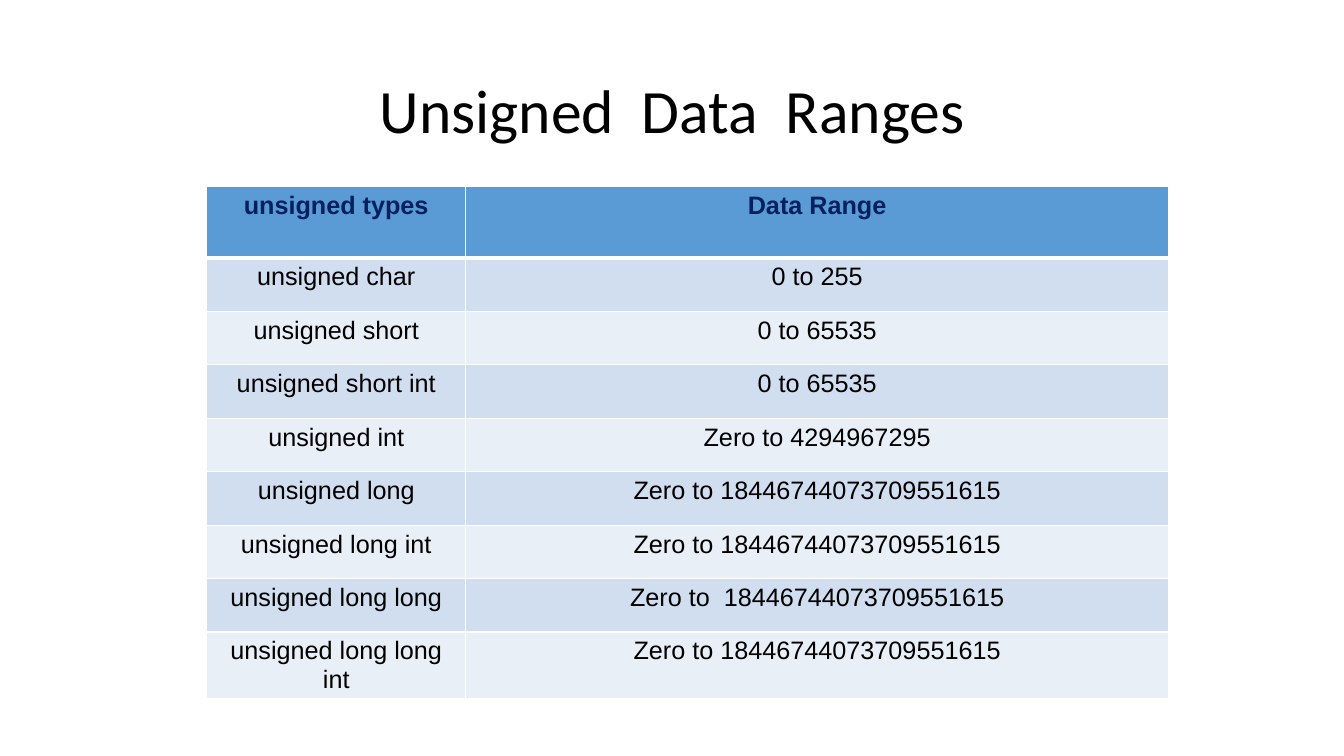
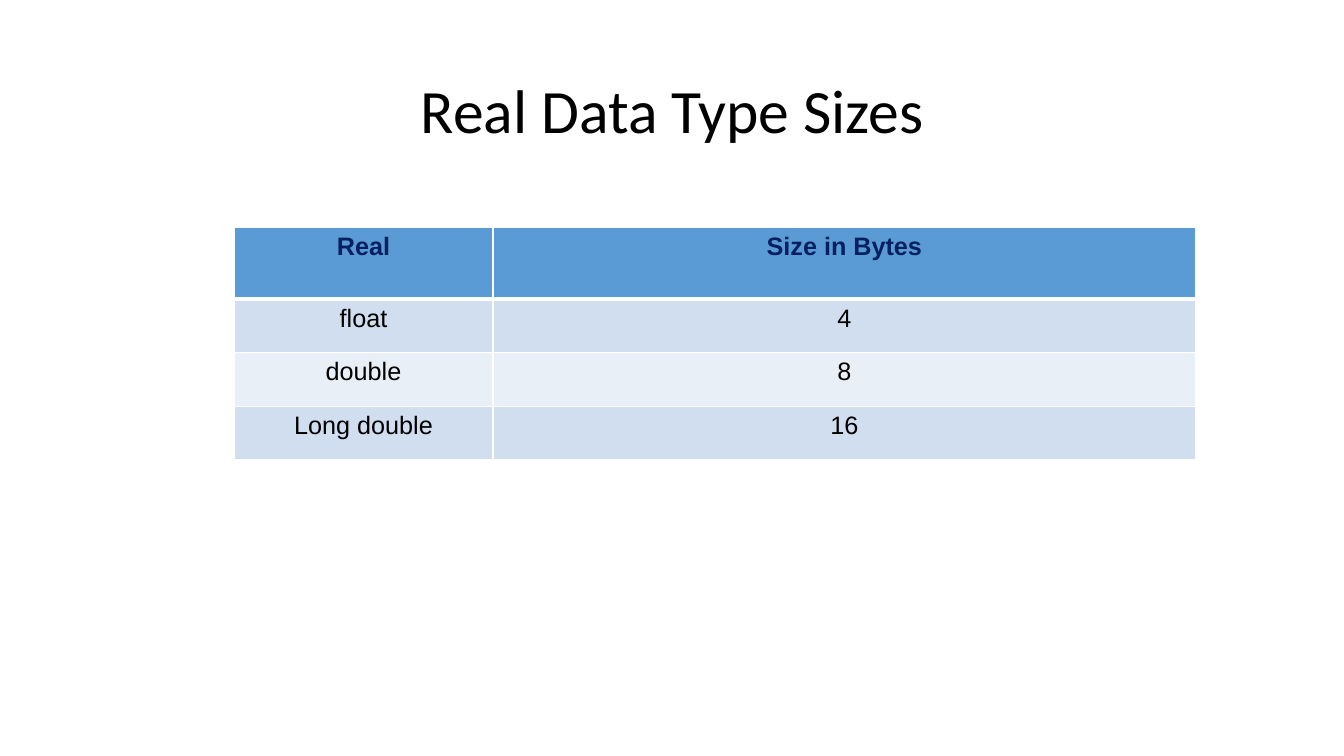
from lxml import etree
from pptx import Presentation
from pptx import util as u
from pptx.dml import color
from pptx.enum import text
from pptx.oxml import ns

# Shared look
BLACK, NAVY, WHITE = "000000", "002060", "FFFFFF"
HEADER_FILL = "5B9BD5"
BAND_FILLS = ["D0DEEF", "E9EFF7"]
COLUMN_WIDTHS = [2.57, 6.97]
HEADER_HEIGHT, ROW_HEIGHT = 0.71, 0.53

# Slide contents: title, table position, rows with the header first
BIG_RANGE = "Zero to 18446744073709551615"
SLIDES = [
    ("Unsigned  Data  Ranges", (2.05, 1.85), [
        ("unsigned types", "Data Range"),
        ("unsigned char", "0 to 255"),
        ("unsigned short", "0 to 65535"),
        ("unsigned short int", "0 to 65535"),
        ("unsigned int", "Zero to 4294967295"),
        ("unsigned long", BIG_RANGE),
        ("unsigned long int", BIG_RANGE),
        ("unsigned long long", "Zero to  18446744073709551615"),
        ("unsigned long long int", BIG_RANGE),
    ]),
    ("Real Data Type Sizes", (2.32, 2.26), [
        ("Real", "Size in Bytes"),
        ("float", "4"),
        ("double", "8"),
        ("Long double", "16"),
    ]),
]


def write(paragraph, words, size, font_name, hex_color, bold=False):
    paragraph.alignment = text.PP_ALIGN.CENTER
    run = paragraph.add_run()
    run.text = words
    run.font.size = u.Pt(size)
    run.font.name = font_name
    run.font.bold = bold
    run.font.color.rgb = color.RGBColor.from_string(hex_color)


def add_border(cell, side, points):
    properties = cell._tc.get_or_add_tcPr()
    line = etree.SubElement(properties, ns.qn("a:ln" + side), w=str(u.Pt(points)))
    fill = etree.SubElement(line, ns.qn("a:solidFill"))
    etree.SubElement(fill, ns.qn("a:srgbClr"), val=WHITE)


presentation = Presentation()
presentation.slide_width = u.Inches(13.33)
presentation.slide_height = u.Inches(7.5)

for title_words, (left, top), rows in SLIDES:
    slide = presentation.slides.add_slide(presentation.slide_layouts[5])

    # Title
    title = slide.shapes.title
    title.left, title.top = u.Inches(0.92), u.Inches(0.4)
    title.width, title.height = u.Inches(11.5), u.Inches(1.45)
    title.text_frame.vertical_anchor = text.MSO_ANCHOR.MIDDLE
    paragraph = title.text_frame.paragraphs[0]
    paragraph.line_spacing = 0.9
    write(paragraph, title_words, 44, "Calibri", BLACK)

    # Table grid
    height = HEADER_HEIGHT + ROW_HEIGHT * (len(rows) - 1)
    table = slide.shapes.add_table(
        len(rows), len(COLUMN_WIDTHS), u.Inches(left), u.Inches(top),
        u.Inches(sum(COLUMN_WIDTHS)), u.Inches(height)).table
    for column, width in zip(table.columns, COLUMN_WIDTHS):
        column.width = u.Inches(width)

    # Header and banded rows
    for row_index, row in enumerate(rows):
        is_header = row_index == 0
        table.rows[row_index].height = u.Inches(HEADER_HEIGHT if is_header else ROW_HEIGHT)
        row_fill = HEADER_FILL if is_header else BAND_FILLS[(row_index - 1) % 2]
        top_border = 3 if row_index == 1 else 1
        bottom_border = 3 if is_header else 1
        for column_index, words in enumerate(row):
            cell = table.cell(row_index, column_index)
            for side, points in zip("LRTB", (1, 1, top_border, bottom_border)):
                add_border(cell, side, points)
            cell.fill.solid()
            cell.fill.fore_color.rgb = color.RGBColor.from_string(row_fill)
            write(cell.text_frame.paragraphs[0], words, 18, "Arial",
                  NAVY if is_header else BLACK, is_header)

presentation.save("out.pptx")
